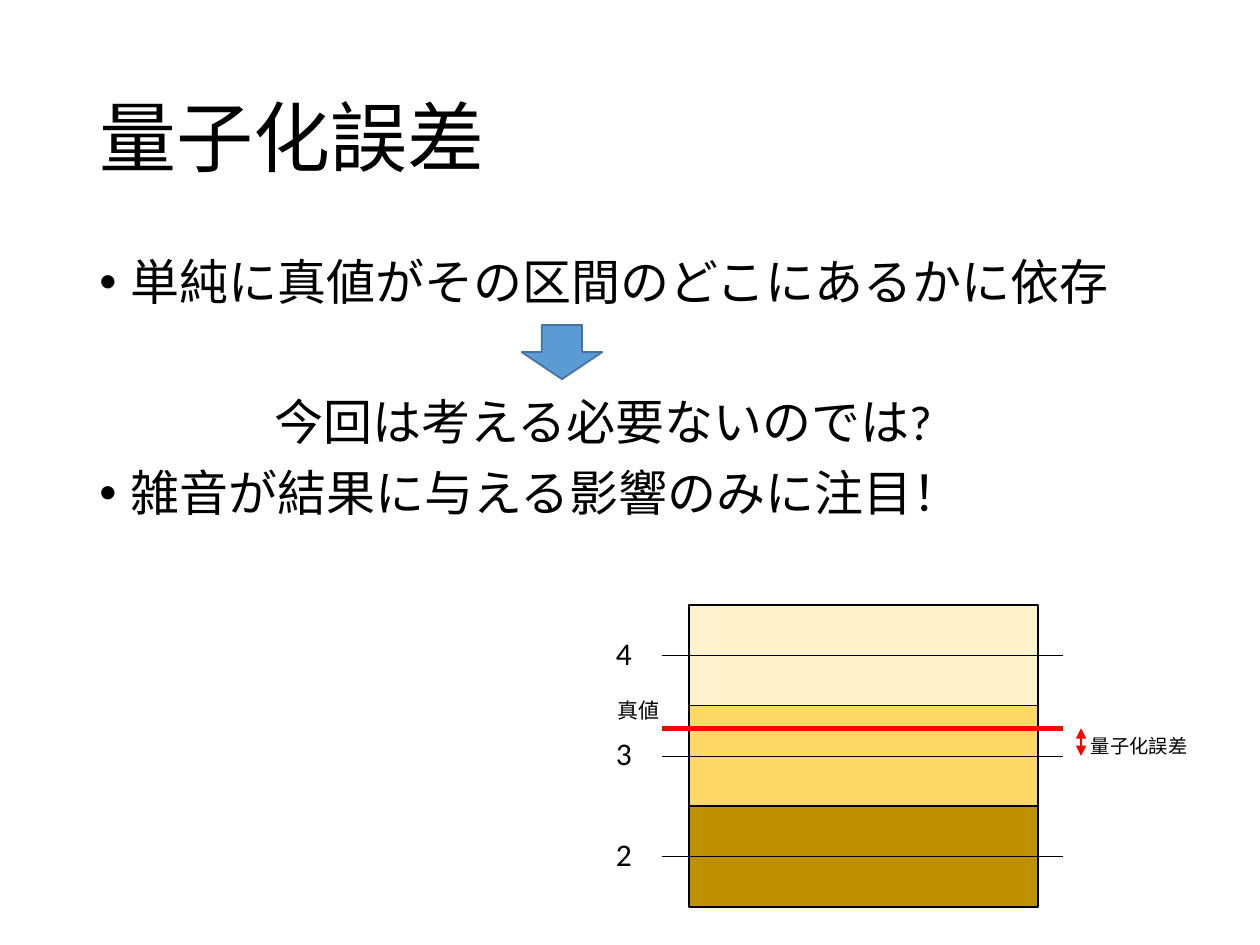
from dataclasses import dataclass

from lxml.etree import SubElement
from pptx import Presentation
from pptx.dml.color import RGBColor
from pptx.enum.shapes import MSO_CONNECTOR, MSO_SHAPE
from pptx.enum.text import MSO_ANCHOR, MSO_AUTO_SIZE, PP_ALIGN
from pptx.oxml.ns import qn
from pptx.util import Inches, Pt


@dataclass(frozen=True)
class Theme:
    """Colours, font and type sizes of the slide."""
    font: str = "Calibri"
    ink: str = "000000"
    accent: str = "FF0000"
    arrow_fill: str = "5B9BD5"
    arrow_line: str = "43739E"
    title: int = 44
    body: int = 28
    level: int = 18
    true_value: int = 12
    error: int = 11


@dataclass(frozen=True)
class Point:
    """A body line with its indent in inches and space before in points."""
    text: str
    indent: float = 0.25
    space_before: int = 10
    bulleted: bool = True


@dataclass(frozen=True)
class Level:
    """One quantization interval and its representative value."""
    value: str
    fill: str


THEME = Theme()
POINTS = (
    Point("単純に真値がその区間のどこにあるかに依存"),
    Point("今回は考える必要ないのでは?", indent=1.39, space_before=50, bulleted=False),
    Point("雑音が結果に与える影響のみに注目！"),
)
LEVELS = (Level("4", "FFF2CC"), Level("3", "FFD966"), Level("2", "BF9000"))
BAND_LEFT, BAND_TOP, BAND_WIDTH, BAND_HEIGHT = 5.47, 4.8, 2.77, 0.8
LINE_START, LINE_END = 5.25, 8.44
TRUE_Y = 5.78
MIDDLE_Y = BAND_TOP + 1.5 * BAND_HEIGHT


def write(paragraph, text: str, *, size: int, color: str = THEME.ink) -> None:
    """Add one formatted run to a paragraph."""
    run = paragraph.add_run()
    run.text = text
    run.font.name = THEME.font
    run.font.size = Pt(size)
    run.font.color.rgb = RGBColor.from_string(color)


def add_block(shapes, kind, box: tuple, *, fill: str, line: str) -> None:
    """Draw a filled and outlined preset shape."""
    block = shapes.add_shape(kind, *map(Inches, box))
    block.shadow.inherit = False
    block.fill.solid()
    block.fill.fore_color.rgb = RGBColor.from_string(fill)
    block.line.color.rgb = RGBColor.from_string(line)
    block.line.width = Pt(1)


def add_line(shapes, start: tuple, end: tuple, *, color: str, width: float,
             arrows: bool = False) -> None:
    """Draw a straight line, optionally with an arrowhead at both ends."""
    connector = shapes.add_connector(
        MSO_CONNECTOR.STRAIGHT, *map(Inches, start + end))
    connector.line.color.rgb = RGBColor.from_string(color)
    connector.line.width = Pt(width)
    if arrows:
        outline = connector.line._get_or_add_ln()
        for tag in ("a:headEnd", "a:tailEnd"):
            SubElement(outline, qn(tag), type="triangle")
    SubElement(connector._element.spPr, qn("a:effectLst"))


def add_label(shapes, text: str, box: tuple, *, size: int) -> None:
    """Place a short label that does not wrap."""
    frame = shapes.add_textbox(*map(Inches, box)).text_frame
    frame.word_wrap = False
    frame.auto_size = MSO_AUTO_SIZE.SHAPE_TO_FIT_TEXT
    write(frame.paragraphs[0], text, size=size)


def format_title(title, text: str) -> None:
    """Position and fill the title placeholder."""
    title.left, title.top, title.width, title.height = map(
        Inches, (0.69, 0.4, 8.62, 1.45))
    frame = title.text_frame
    frame.auto_size = MSO_AUTO_SIZE.NONE
    frame.vertical_anchor = MSO_ANCHOR.MIDDLE
    heading = frame.paragraphs[0]
    heading.alignment = PP_ALIGN.LEFT
    heading.line_spacing = 0.9
    write(heading, text, size=THEME.title)


def add_body(shapes, points: tuple) -> None:
    """Write the body lines with their bullets and indents."""
    frame = shapes.add_textbox(*map(Inches, (0.69, 2, 8.62, 4.76))).text_frame
    frame.word_wrap = True
    for index, point in enumerate(points):
        paragraph = frame.add_paragraph() if index else frame.paragraphs[0]
        paragraph.line_spacing = 0.9
        paragraph.space_before = Pt(point.space_before)
        properties = paragraph._p.get_or_add_pPr()
        properties.set("marL", str(Inches(point.indent)))
        if point.bulleted:
            properties.set("indent", str(-Inches(point.indent)))
            SubElement(properties, qn("a:buFont"), typeface="Arial")
            SubElement(properties, qn("a:buChar"), char="•")
        write(paragraph, point.text, size=THEME.body)


def add_diagram(shapes) -> None:
    """Draw the quantization levels, the true value and its error."""
    for index, level in enumerate(LEVELS):
        top = BAND_TOP + index * BAND_HEIGHT
        middle = top + BAND_HEIGHT / 2
        add_block(shapes, MSO_SHAPE.RECTANGLE,
                  (BAND_LEFT, top, BAND_WIDTH, BAND_HEIGHT),
                  fill=level.fill, line=THEME.ink)
        add_line(shapes, (LINE_START, middle), (LINE_END, middle),
                 color=THEME.ink, width=0.5)
        add_label(shapes, level.value, (4.79, middle - 0.22, 0.38, 0.44),
                  size=THEME.level)
    add_line(shapes, (LINE_START, TRUE_Y), (LINE_END, TRUE_Y),
             color=THEME.accent, width=3)
    add_line(shapes, (8.58, TRUE_Y), (8.58, MIDDLE_Y),
             color=THEME.accent, width=1, arrows=True)
    add_label(shapes, "量子化誤差", (8.56, TRUE_Y, 1.12, 0.31), size=THEME.error)
    add_label(shapes, "真値", (4.8, 5.49, 0.62, 0.33), size=THEME.true_value)


def main() -> None:
    """Build and save the slide."""
    presentation = Presentation()
    presentation.slide_width, presentation.slide_height = Inches(10), Inches(7.5)
    slide = presentation.slides.add_slide(presentation.slide_layouts[5])
    format_title(slide.shapes.title, "量子化誤差")
    add_body(slide.shapes, POINTS)
    add_block(slide.shapes, MSO_SHAPE.DOWN_ARROW, (4.14, 2.58, 0.64, 0.43),
              fill=THEME.arrow_fill, line=THEME.arrow_line)
    add_diagram(slide.shapes.add_group_shape().shapes)
    presentation.save("out.pptx")


main()
